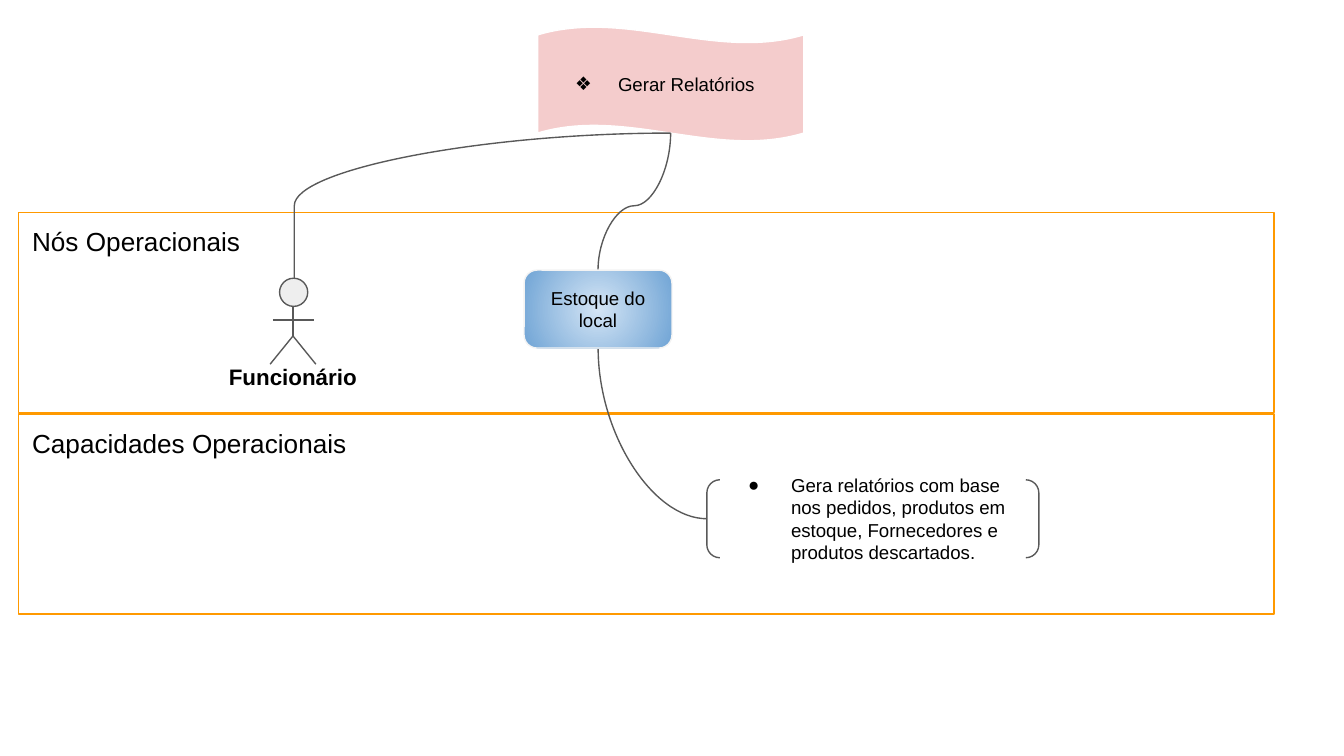
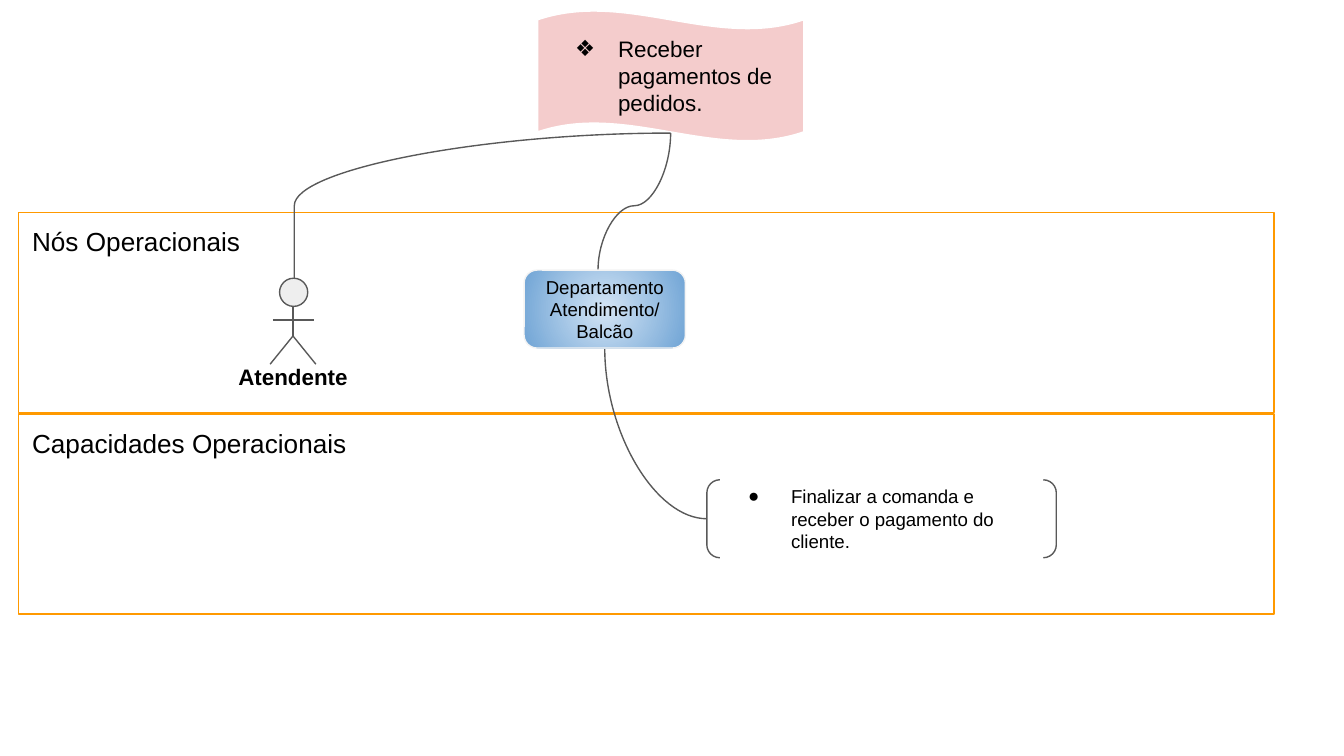
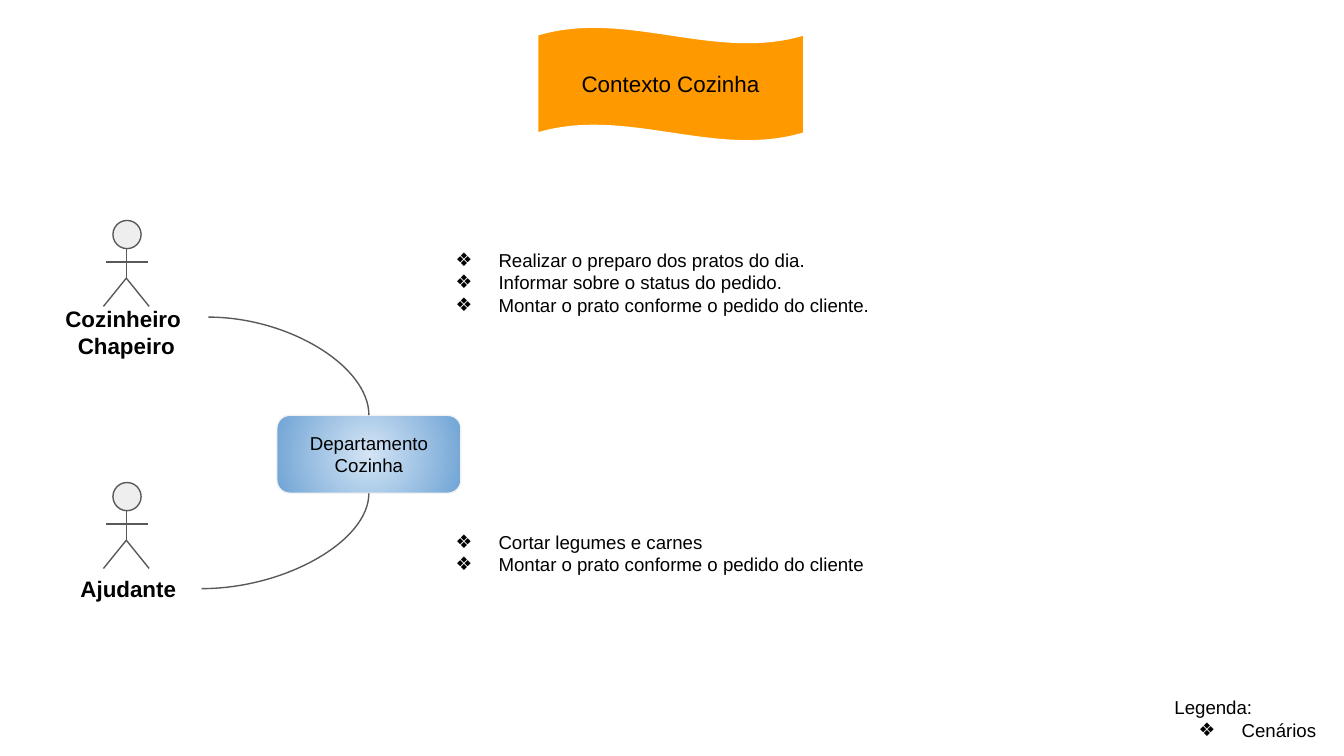
from lxml import etree
from pptx import Presentation, util as u
from pptx.dml.color import RGBColor
from pptx.enum import shapes as kinds, text as txt
from pptx.oxml.ns import qn

COLORS = {"ink": "000000", "line": "595959", "head": "EEEEEE", "white": "FFFFFF",
          "orange": "FF9900", "pink": "F4CCCC", "core": "D4E5F5", "rim": "70A4D5",
          "node_edge": "F3F3F3"}
FONT = "Arial"
SCENARIO, CAPABILITY = "❖", "●"
HARD_SPACE = chr(160)
KIND = kinds.MSO_SHAPE
LEFT, CENTER = txt.PP_ALIGN.LEFT, txt.PP_ALIGN.CENTER
TOP, MIDDLE = txt.MSO_ANCHOR.TOP, txt.MSO_ANCHOR.MIDDLE

BANDS = ["Nós Operacionais", "Capacidades Operacionais"]
BAND_LEFT, BAND_TOP, BAND_WIDTH, BAND_HEIGHT, BAND_PITCH = 0.14, 1.58, 9.34, 1.49, 1.5
FLAG_LEFT, FLAG_WIDTH, FLAG_BOTTOM = 4, 1.98, 1.05
FLAG_ANCHOR = (4.99, 0.99)
NODE_HEIGHT = 0.58
NODE_LEFT, NODE_TOP = 3.9, 2.01
CAPABILITY_LEFT, CAPABILITY_TOP = 5.26, 3.57
ACTOR_X, ACTOR_TOP = 2.18, 2.07
ACTOR_EXIT = (2.19, ACTOR_TOP)

SCENARIOS = [
    {"goal": "Gerar Relatórios", "goal_size": 10, "flag_top": 0.2,
     "actor": "Funcionário", "actor_box": (1.56, 2.6, 1.24, 0.37),
     "node": ["Estoque do local"], "node_width": 1.1,
     "capability": "Gera relatórios com base nos pedidos, produtos em estoque, "
                   "Fornecedores e produtos descartados.", "capability_width": 2.47},
    {"goal": "Receber pagamentos de pedidos.", "goal_size": 12, "flag_top": 0.08,
     "actor": "Atendente", "actor_box": (1.62, 2.6, 1.12, 0.37),
     "node": ["Departamento Atendimento/", "Balcão"], "node_width": 1.2,
     "capability": "Finalizar a comanda e receber o pagamento do cliente.",
     "capability_width": 2.6},
]

KITCHEN = {
    "title": "Contexto Cozinha",
    "node": ["Departamento Cozinha"],
    "node_box": (2.06, 3.09, 1.37),
    "actors": [
        {"name": f"Cozinheiro{HARD_SPACE}Chapeiro", "top": 1.64,
         "name_box": (0.34, 2.17, 1.2, 0.38),
         "exit": (1.55, 2.36), "tasks_box": (3.11, 1.75, 3.81, 1.22),
         "tasks": ["Realizar o preparo dos pratos do dia.",
                   "Informar sobre o status do pedido.",
                   "Montar o prato conforme o pedido do cliente."]},
        {"name": "Ajudante", "top": 3.59,
         "name_box": (0.41, 4.18, 1.09, 0.39),
         "exit": (1.5, 4.38), "tasks_box": (3.11, 3.85, 3.85, 1.22),
         "tasks": ["Cortar legumes e carnes",
                   "Montar o prato conforme o pedido do cliente"]},
    ],
    "actor_x": 0.94,
    "legend": ["Legenda:", (SCENARIO, "Cenários")],
    "legend_box": (8.64, 5.08, 1.88, 0.52),
}


def rgb(name):
    return RGBColor.from_string(COLORS[name])


def inches(values):
    return [u.Inches(value) for value in values]


def outline(part, color):
    part.line.color.rgb = rgb(color)
    part.line.width = u.Pt(0.75)


def add_bullet(paragraph, symbol):
    props = paragraph._p.get_or_add_pPr()
    props.set("marL", str(u.Inches(0.5)))
    props.set("indent", str(u.Inches(-0.32)))
    color = etree.SubElement(props, qn("a:buClr"))
    etree.SubElement(color, qn("a:srgbClr"), val=COLORS["ink"])
    etree.SubElement(props, qn("a:buFont"), typeface=FONT)
    etree.SubElement(props, qn("a:buChar"), char=symbol)


def write(part, lines, size=10, align=LEFT, anchor=TOP, bold=False):
    frame = part.text_frame
    frame.word_wrap = True
    frame.auto_size = txt.MSO_AUTO_SIZE.NONE
    frame.vertical_anchor = anchor
    frame.margin_left = frame.margin_right = u.Inches(0.1)
    frame.margin_top = frame.margin_bottom = u.Inches(0.1)
    for index, line in enumerate(lines):
        symbol, words = line if isinstance(line, tuple) else (None, line)
        paragraph = frame.add_paragraph() if index else frame.paragraphs[0]
        paragraph.alignment = align
        paragraph.space_before = u.Pt(0)
        if symbol:
            add_bullet(paragraph, symbol)
        run = paragraph.add_run()
        run.text = words
        run.font.name, run.font.size, run.font.bold = FONT, u.Pt(size), bold
        run.font.color.rgb = rgb("ink")


def add_shape(shapes, kind, box, edge, fill=None):
    part = shapes.add_shape(kind, *inches(box))
    part.shadow.inherit = False
    outline(part, edge)
    if fill:
        part.fill.solid()
        part.fill.fore_color.rgb = rgb(fill)
    else:
        part.fill.background()
    return part


def add_line(shapes, kind, start, end):
    line = shapes.add_connector(kind, *inches(start + end))
    outline(line, "line")
    etree.SubElement(line._element.spPr, qn("a:effectLst"))
    return line


def add_curve(slide, start, end, upright, bend=None):
    (x1, y1), (x2, y2) = start, end
    down = y2 > y1
    width, height = x2 - x1, abs(y2 - y1)
    if upright:
        width, height = height, width
    left, top = (x1 + x2 - width) / 2, (y1 + y2 - height) / 2
    curve = add_line(slide.shapes, kinds.MSO_CONNECTOR.CURVE,
                     (left, top), (left + width, top + height))
    turn = 270 if upright else 0 if down else 180
    frame = curve._element.spPr.find(qn("a:xfrm"))
    frame.set("rot", str(turn * 60000))
    frame.set("flipH", "1" if upright == down else "0")
    geometry = curve._element.spPr.find(qn("a:prstGeom"))
    if bend is None:
        geometry.set("prst", "curvedConnector2")
    else:
        guides = geometry.find(qn("a:avLst"))
        if guides is None:
            guides = etree.SubElement(geometry, qn("a:avLst"))
        etree.SubElement(guides, qn("a:gd"), name="adj1", fmla=f"val {round(bend * 100000)}")


def add_flag(slide, top, color, line, size, align):
    flag = add_shape(slide.shapes, KIND.WAVE,
                     (FLAG_LEFT, top, FLAG_WIDTH, FLAG_BOTTOM - top), "white", color)
    flag.adjustments[0] = 0.07
    write(flag, [line], size, align, MIDDLE)


def add_node(slide, left, top, width, lines):
    node = add_shape(slide.shapes, KIND.ROUNDED_RECTANGLE,
                     (left, top, width, NODE_HEIGHT), "node_edge")
    node.fill.gradient()
    for stop, color, position in zip(node.fill.gradient_stops, ("core", "rim"), (0, 1)):
        stop.color.rgb = rgb(color)
        stop.position = position
    gradient = node._element.spPr.find(qn("a:gradFill"))
    gradient.remove(gradient.find(qn("a:lin")))
    glow = etree.SubElement(gradient, qn("a:path"), path="circle")
    etree.SubElement(glow, qn("a:fillToRect"), {side: "50000" for side in "ltrb"})
    write(node, lines, align=CENTER, anchor=MIDDLE)


def add_actor(slide, x, top, name, name_box):
    shapes = slide.shapes.add_group_shape().shapes
    add_shape(shapes, KIND.FLOWCHART_CONNECTOR, (x - 0.1, top, 0.21, 0.21), "line", "head")
    hip = (x, top + 0.43)
    limbs = [((x, top + 0.21), hip),
             ((x - 0.15, top + 0.31), (x + 0.16, top + 0.31)),
             (hip, (x - 0.17, top + 0.64)),
             (hip, (x + 0.17, top + 0.64))]
    for start, end in limbs:
        add_line(shapes, kinds.MSO_CONNECTOR.STRAIGHT, start, end)
    label = shapes.add_textbox(*inches(name_box))
    write(label, [name], 12, CENTER, bold=True)


def build_scenario(deck, scenario):
    slide = deck.slides.add_slide(deck.slide_layouts[6])
    for row, heading in enumerate(BANDS):
        band = add_shape(slide.shapes, KIND.RECTANGLE,
                         (BAND_LEFT, BAND_TOP + row * BAND_PITCH, BAND_WIDTH, BAND_HEIGHT),
                         "orange")
        write(band, [heading], 14)
    add_flag(slide, scenario["flag_top"], "pink", (SCENARIO, scenario["goal"]),
             scenario["goal_size"], LEFT)
    add_actor(slide, ACTOR_X, ACTOR_TOP, scenario["actor"], scenario["actor_box"])
    node_x = NODE_LEFT + scenario["node_width"] / 2
    add_curve(slide, (4.45, NODE_TOP), FLAG_ANCHOR, True, 0.47)
    add_curve(slide, ACTOR_EXIT, FLAG_ANCHOR, False, 0)
    add_curve(slide, (node_x, NODE_TOP + NODE_HEIGHT),
              (CAPABILITY_LEFT, CAPABILITY_TOP + NODE_HEIGHT / 2), True)
    capability = add_shape(slide.shapes, KIND.DOUBLE_BRACKET,
                           (CAPABILITY_LEFT, CAPABILITY_TOP,
                            scenario["capability_width"], NODE_HEIGHT), "line")
    write(capability, [(CAPABILITY, scenario["capability"])], anchor=MIDDLE)
    add_node(slide, NODE_LEFT, NODE_TOP, scenario["node_width"], scenario["node"])


def build_kitchen(deck):
    slide = deck.slides.add_slide(deck.slide_layouts[3])
    unused = slide.shapes.title._element
    unused.getparent().remove(unused)
    add_flag(slide, 0.2, "orange", KITCHEN["title"], 12, CENTER)
    left, top, width = KITCHEN["node_box"]
    add_node(slide, left, top, width, KITCHEN["node"])
    edges = (top, top + NODE_HEIGHT)
    for slot, (actor, edge) in enumerate(zip(KITCHEN["actors"], edges), 1):
        add_actor(slide, KITCHEN["actor_x"], actor["top"], actor["name"], actor["name_box"])
        add_curve(slide, actor["exit"], (left + width / 2, edge), False)
        tasks = slide.placeholders[slot]
        tasks.left, tasks.top, tasks.width, tasks.height = inches(actor["tasks_box"])
        write(tasks, [(SCENARIO, task) for task in actor["tasks"]])
    legend = slide.shapes.add_textbox(*inches(KITCHEN["legend_box"]))
    write(legend, KITCHEN["legend"])


def main():
    deck = Presentation()
    deck.slide_width = u.Inches(10)
    deck.slide_height = deck.slide_width * 9 // 16
    for scenario in SCENARIOS:
        build_scenario(deck, scenario)
    build_kitchen(deck)
    deck.save("out.pptx")


if __name__ == "__main__":
    main()
